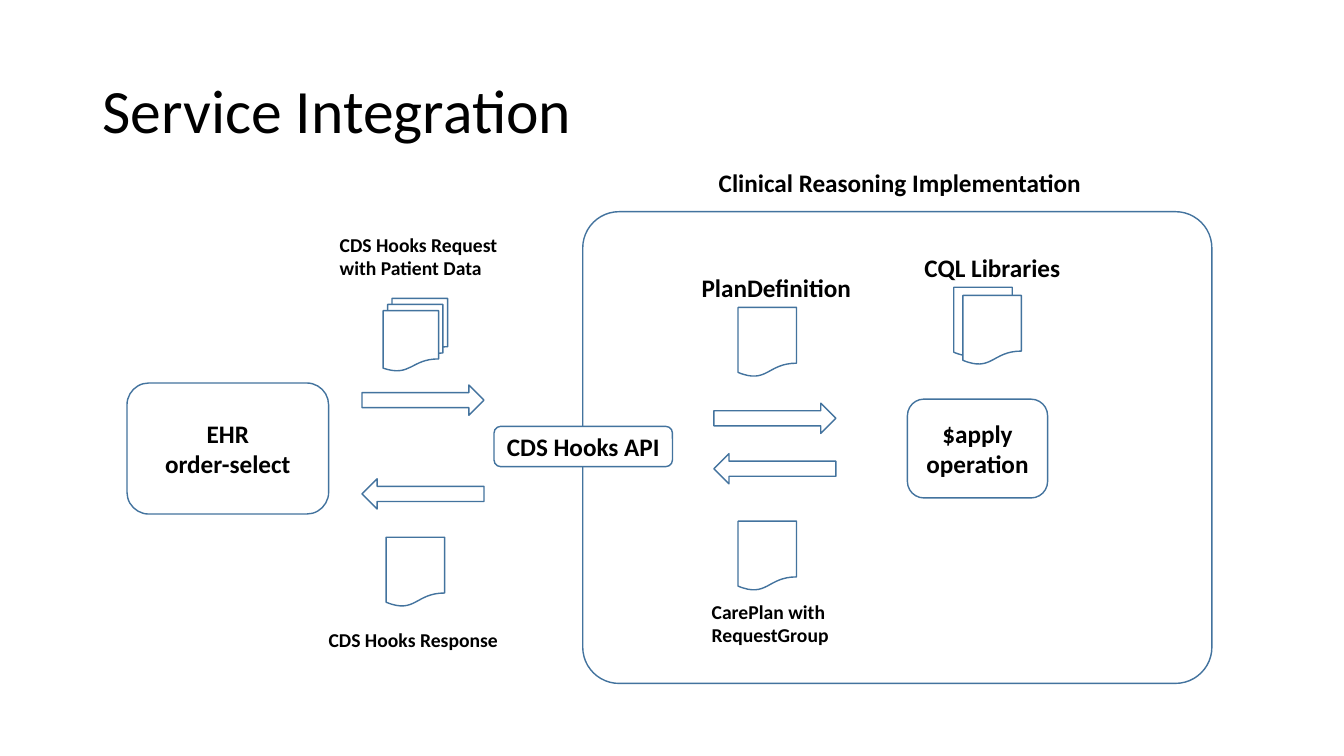
"""Build the Service Integration slide."""
from pptx import Presentation
from pptx.dml.color import RGBColor
from pptx.enum.shapes import MSO_SHAPE
from pptx.enum.text import MSO_ANCHOR, MSO_AUTO_SIZE, PP_ALIGN
from pptx.util import Inches, Pt

ROUND = MSO_SHAPE.ROUNDED_RECTANGLE
ARROW = MSO_SHAPE.RIGHT_ARROW
DOC = MSO_SHAPE.FLOWCHART_DOCUMENT
DOCS = MSO_SHAPE.FLOWCHART_MULTIDOCUMENT
MIDDLE = MSO_ANCHOR.MIDDLE
CENTER, LEFT = PP_ALIGN.CENTER, PP_ALIGN.LEFT
GROW = MSO_AUTO_SIZE.SHAPE_TO_FIT_TEXT


def color(value):
    return RGBColor.from_string(value)


class Diagram:
    font = "Calibri"
    ink = "000000"
    outline = "43739E"
    white = "FFFFFF"

    def __init__(self, slide):
        self.s = slide

    def add_text(self, tf, text, size, bold=True, align=LEFT, spacing=None):
        fmt = {"name": self.font, "size": Pt(size), "bold": bold}
        for i, line in enumerate(text.split("\n")):
            p = tf.add_paragraph() if i else tf.paragraphs[0]
            p.alignment = align
            p.line_spacing = spacing
            r = p.add_run()
            r.text = line
            for key, value in fmt.items():
                setattr(r.font, key, value)
            r.font.color.rgb = color(self.ink)

    def shape(self, kind, x, y, w, h, filled=False, rotation=0):
        sp = self.s.shapes.add_shape(kind, Inches(x), Inches(y), Inches(w), Inches(h))
        sp.shadow.inherit = False
        sp.rotation = rotation
        if filled:
            sp.fill.solid()
            sp.fill.fore_color.rgb = color(self.white)
        else:
            sp.fill.background()
        sp.line.color.rgb = color(self.outline)
        sp.line.width = Pt(1)
        return sp

    def box(self, text, x, y, w, h, filled=True):
        sp = self.shape(ROUND, x, y, w, h, filled)
        tf = sp.text_frame
        tf.word_wrap = True
        tf.vertical_anchor = MIDDLE
        self.add_text(tf, text, 18, align=CENTER)

    def document(self, x, y, filled=False):
        self.shape(DOC, x, y, 0.58, 0.69, filled)

    def arrow(self, x, y, rotation=0):
        self.shape(ARROW, x, y, 1.21, 0.3, rotation=rotation)

    def textbox(self, x, y, w, h):
        tb = self.s.shapes.add_textbox(Inches(x), Inches(y), Inches(w), Inches(h))
        return tb.text_frame

    def title(self, text, x, y, w, h):
        tf = self.textbox(x, y, w, h)
        tf.word_wrap = True
        tf.vertical_anchor = MIDDLE
        self.add_text(tf, text, 44, bold=False, spacing=0.9)

    def label(self, text, x, y, w, h, size=18, wrap=False):
        tf = self.textbox(x, y, w, h)
        tf.word_wrap = wrap
        tf.auto_size = GROW
        self.add_text(tf, text, size)

    def caption(self, text, x, y, w, h):
        self.label(text, x, y, w, h, size=14, wrap=True)


def main():
    prs = Presentation()
    prs.slide_width, prs.slide_height = Inches(13.33), Inches(7.5)
    d = Diagram(prs.slides.add_slide(prs.slide_layouts[6]))

    d.title("Service Integration", 0.92, 0.4, 11.5, 1.45)
    d.box("EHR\norder-select", 1.26, 3.8, 2, 1.3, filled=False)
    d.shape(DOCS, 3.8, 2.96, 0.64, 0.72)

    system = d.shape(ROUND, 5.78, 2.1, 6.24, 4.68)
    system.adjustments[0] = 0.077
    d.label("Clinical Reasoning Implementation", 7.03, 1.61, 3.82, 0.4)
    d.label("PlanDefinition", 6.86, 2.65, 1.7, 0.4)
    d.label("CQL Libraries", 9.07, 2.45, 1.56, 0.4)

    for x, y, filled in [(7.32, 3.05, False), (7.32, 5.17, False), (3.83, 5.33, False),
                         (9.46, 2.85, False), (9.55, 2.93, True)]:
        d.document(x, y, filled)

    d.box("$apply operation", 9, 3.96, 1.39, 0.98)
    d.box("CDS Hooks API", 4.9, 4.23, 1.77, 0.4)

    for x, request_y, response_y in [(3.59, 3.82, 4.75), (7.08, 4, 4.5)]:
        d.arrow(x, request_y)
        d.arrow(x, response_y, rotation=180)

    d.caption("CDS Hooks Request with Patient Data", 3.27, 2.26, 1.92, 0.57)
    d.caption("CDS Hooks Response", 3.16, 6.18, 1.92, 0.34)
    d.caption("CarePlan with RequestGroup", 6.96, 5.9, 1.45, 0.57)

    prs.save("out.pptx")


if __name__ == "__main__":
    main()
